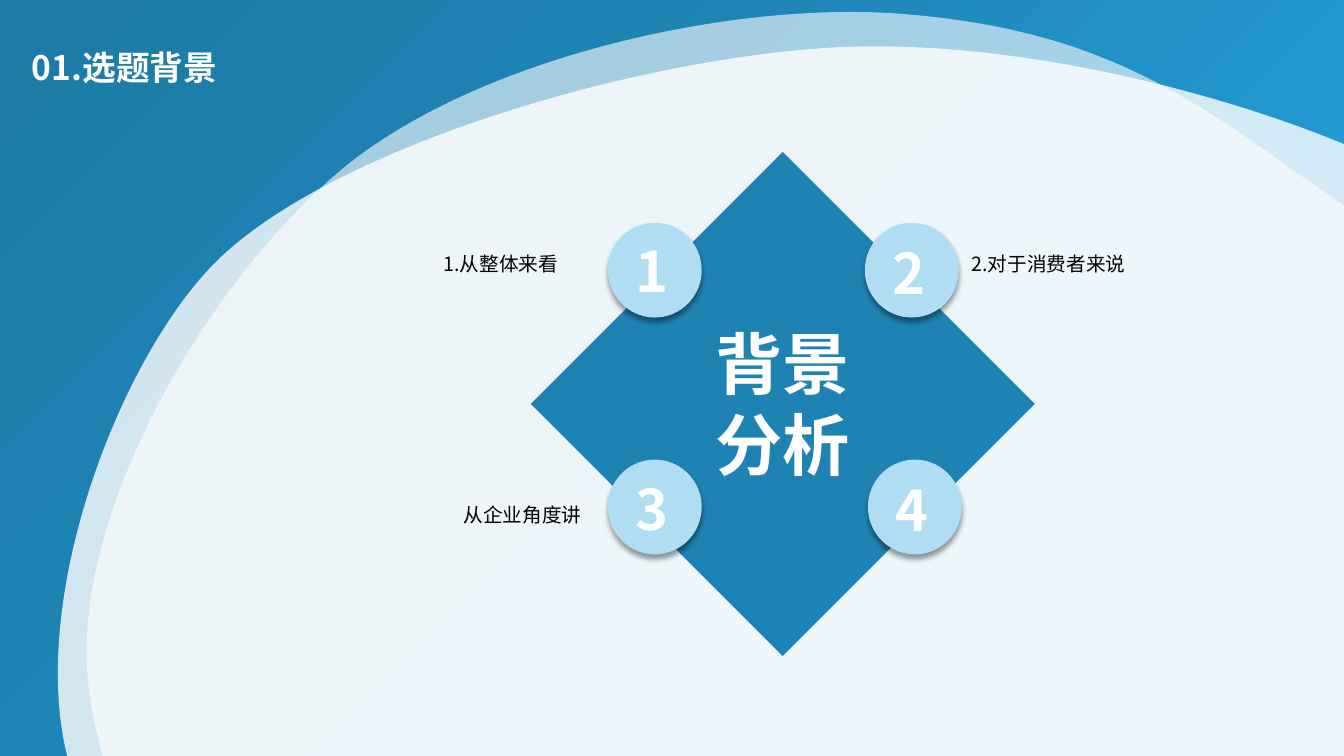
import dataclasses
import math
import typing

import lxml.etree
import pptx
import pptx.dml.color
import pptx.enum.shapes
import pptx.enum.text
import pptx.oxml.ns
import pptx.util

FONT = "Noto Sans CJK SC"
WHITE, BLACK, BLUE, PALE = "FFFFFF", "000000", "1E83B3", "B0DDF2"
KIND = pptx.enum.shapes.MSO_SHAPE
ALIGN = pptx.enum.text.PP_ALIGN
WIDE, HIGH = pptx.util.Inches(13.333), pptx.util.Inches(7.5)
STOPS = ((0, "239CD5"), (23, "239CD5"), (69, BLUE), (97, "1C7BA7"))


class Box(typing.NamedTuple):
    """Left, top, width and height in percent of the slide."""
    left: float
    top: float
    width: float
    height: float

    def place(self) -> list[int]:
        """Return the four lengths in EMU."""
        return [round(part * full / 100) for part, full in zip(self, (WIDE, HIGH) * 2)]


@dataclasses.dataclass(frozen=True)
class Badge:
    """A numbered disc: corner of the disc and corner of its digit."""
    digit: str
    disc: tuple[float, float]
    mark: tuple[float, float]


@dataclasses.dataclass(frozen=True)
class Note:
    """A short remark beside a disc."""
    text: str
    box: Box


@dataclasses.dataclass(frozen=True)
class Blob:
    """A turned frame and the closed cubic curves it holds, in slide inches."""
    box: Box
    turn: float
    alpha: int
    start: tuple[float, float]
    curves: tuple[tuple[float, ...], ...]


BLOBS = (
    Blob(Box(12.75, -7.33, 106.35, 205.47), 315, 60, (12.72, 1.61), (
        (11.55, 0.77, 10.65, 0.28, 8.98, 0.14), (7.31, 0, 4.8, 0.55, 3.44, 1.64),
        (2.09, 2.74, 0.73, 5.04, 0.87, 6.71), (1, 8.38, 2.89, 12.02, 4.86, 12.92),
        (6.83, 13.81, 12.43, 13.78, 14.29, 12.49), (16.15, 11.21, 16.14, 6.87, 16.01, 5.2),
        (15.87, 3.53, 13.89, 2.46, 12.72, 1.61))),
    Blob(Box(4.2, 5.6, 124.5, 156.53), 352.9, 80, (16.53, 4.46), (
        (16.12, 3.42, 15.7, 2.72, 14.32, 1.91), (12.94, 1.1, 10.29, 0.36, 8.27, 0.47),
        (6.24, 0.59, 3.29, 1.47, 2.15, 2.59), (1.02, 3.71, -0.06, 6.84, 1.02, 8.27),
        (2.09, 9.69, 7.09, 12.09, 9.71, 12.07), (12.33, 12.06, 15.6, 9.29, 16.74, 8.17),
        (17.88, 7.05, 16.93, 5.51, 16.53, 4.46))),
)
BADGES = (
    Badge("1", (45.23, 29.47), (46.58, 30.6)),
    Badge("2", (64.35, 29.47), (65.68, 30.87)),
    Badge("4", (64.58, 60.8), (65.93, 62.27)),
    Badge("3", (45.23, 60.8), (46.58, 62.07)),
)
NOTES = (
    Note("2.对于消费者来说", Box(71.55, 31.73, 24.83, 5.47)),
    Note("1.从整体来看", Box(32.25, 31.73, 11.78, 5.47)),
    Note("从企业角度讲", Box(33.75, 64.93, 10.28, 5.47)),
)


def tint(code: str) -> pptx.dml.color.RGBColor:
    """Turn a hex string into a colour."""
    return pptx.dml.color.RGBColor.from_string(code)


def child(node, tag: str, **attrs):
    """Add a drawing element with attributes below a node."""
    return lxml.etree.SubElement(
        node, pptx.oxml.ns.qn(f"a:{tag}"), {key: str(val) for key, val in attrs.items()})


def clear(shape, tag: str):
    """Empty the first drawing element of that tag and return it."""
    node = next(shape.element.iter(pptx.oxml.ns.qn(f"a:{tag}")))
    for part in list(node):
        node.remove(part)
    return node


def paint(shape, code: str) -> None:
    """Give a shape a flat fill without line or shadow."""
    shape.fill.solid()
    shape.fill.fore_color.rgb = tint(code)
    shape.line.fill.background()
    shape.shadow.inherit = False


def draw(slide, kind, box: Box, code: str):
    """Add a plain preset shape."""
    shape = slide.shapes.add_shape(kind, *box.place())
    paint(shape, code)
    return shape


def shade(shape) -> None:
    """Drop a soft shadow below a shape."""
    group = shape.element.spPr.find(pptx.oxml.ns.qn("a:effectLst"))
    drop = child(group, "outerShdw", blurRad=pptx.util.Pt(4), dist=pptx.util.Pt(3),
                 dir=90 * 60000, algn="t", rotWithShape=0)
    child(child(drop, "srgbClr", val=BLACK), "alpha", val=40000)


def blend(slide) -> None:
    """Cover the slide with the slanted blue gradient."""
    shape = draw(slide, KIND.RECTANGLE, Box(0, 0, 100, 100), BLUE)
    shape.fill.gradient()
    shape.fill.gradient_angle = 135
    stops = clear(shape, "gsLst")
    for share, code in STOPS:
        child(child(stops, "gs", pos=share * 1000), "srgbClr", val=code)


def spread(slide, blob: Blob) -> None:
    """Draw a translucent white blob inside its turned frame."""
    left, top, width, height = blob.box.place()
    pen = slide.shapes.build_freeform(left, top)
    pen.add_line_segments([(left + width, top + height)])
    shape = pen.convert_to_shape()
    shape.rotation = blob.turn
    paint(shape, WHITE)
    fill = shape.element.spPr.find(pptx.oxml.ns.qn("a:solidFill"))
    child(fill[0], "alpha", val=blob.alpha * 1000)
    outline = clear(shape, "path")
    angle = math.radians(blob.turn)
    cos, sin = math.cos(angle), math.sin(angle)

    def add(tag: str, points: tuple[float, ...]) -> None:
        """Append one step of the outline in the frame's own axes."""
        step = child(outline, tag)
        for x, y in zip(points[::2], points[1::2]):
            dx = pptx.util.Inches(x) - left - width / 2
            dy = pptx.util.Inches(y) - top - height / 2
            child(step, "pt", x=round(width / 2 + dx * cos + dy * sin),
                  y=round(height / 2 - dx * sin + dy * cos))

    add("moveTo", blob.start)
    for curve in blob.curves:
        add("cubicBezTo", curve)
    child(outline, "close")


def write(shape, text: str, *, size: float, code: str = WHITE, bold: bool = True,
          wrap: bool = False, align=ALIGN.LEFT, lead: float = 1, gap: float = 0) -> None:
    """Fill a shape with formatted lines of text."""
    frame = shape.text_frame
    frame.word_wrap = wrap
    frame.text = text
    for para in frame.paragraphs:
        para.alignment, para.line_spacing = align, lead
        para.space_before = pptx.util.Pt(gap)
        for run in para.runs:
            run.font.name, run.font.bold = FONT, bold
            run.font.size = pptx.util.Pt(size)
            run.font.color.rgb = tint(code)
            child(run.font._element, "ea", typeface=FONT)


def label(slide, box: Box, text: str, **style) -> None:
    """Add a text box that grows with its text."""
    shape = slide.shapes.add_textbox(*box.place())
    write(shape, text, **style)
    shape.text_frame.auto_size = pptx.enum.text.MSO_AUTO_SIZE.SHAPE_TO_FIT_TEXT


def head(slide, text: str) -> None:
    """Place the title in front of the backdrop."""
    title = slide.shapes.title
    title.element.getparent().append(title.element)
    title.left, title.top, title.width, title.height = Box(1.62, 3.95, 43.5, 10.53).place()
    write(title, text, size=24, wrap=True, lead=0.9, gap=10)
    title.text_frame.vertical_anchor = pptx.enum.text.MSO_ANCHOR.MIDDLE


def main() -> None:
    """Build and save the slide."""
    deck = pptx.Presentation()
    deck.slide_width, deck.slide_height = WIDE, HIGH
    slide = deck.slides.add_slide(deck.slide_layouts[5])
    blend(slide)
    for blob in BLOBS:
        spread(slide, blob)
    head(slide, "01.选题背景")
    draw(slide, KIND.DIAMOND, Box(39.49, 20.1, 37.5, 66.67), BLUE)
    for badge in BADGES:
        shade(draw(slide, KIND.OVAL, Box(*badge.disc, 6.98, 12.53), PALE))
    for badge in BADGES:
        label(slide, Box(*badge.mark, 4.05, 10.27), badge.digit, size=40)
    label(slide, Box(52.5, 42, 11.48, 22.93), "背景\n分析", size=48)
    for note in NOTES:
        label(slide, note.box, note.text, size=14, code=BLACK, bold=False,
              wrap=True, align=ALIGN.JUSTIFY, lead=1.3)
    deck.save("out.pptx")


if __name__ == "__main__":
    main()
